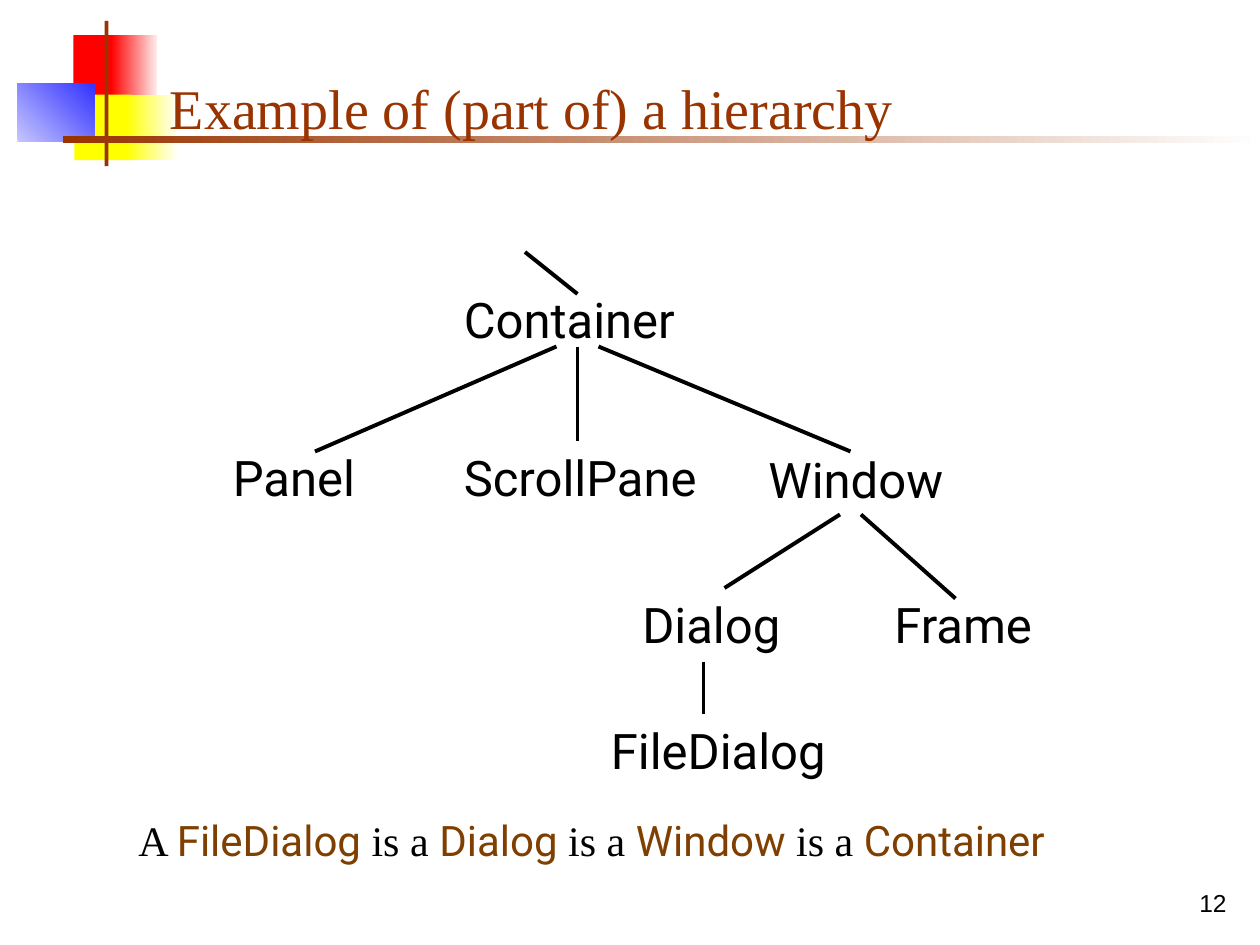
from lxml.etree import SubElement
from pptx import Presentation
from pptx.dml.color import RGBColor
from pptx.enum.shapes import MSO_CONNECTOR, MSO_SHAPE
from pptx.enum.text import MSO_ANCHOR, PP_ALIGN
from pptx.oxml.ns import qn
from pptx.util import Pt

SERIF, SANS, CODE = "Times New Roman", "Arial", "Roboto"
BLACK, RUST, BROWN = "000000", "993300", "7F3F00"


def color(hex_code):
    """Turn a hex string into a colour."""
    return RGBColor.from_string(hex_code)


def set_font(font, name, size, hex_code):
    """Set typeface, size and colour of a font."""
    font.name, font.size = name, Pt(size)
    font.color.rgb = color(hex_code)


def add_text(s, box, runs, size, anchor=MSO_ANCHOR.TOP, align=PP_ALIGN.LEFT):
    """Add one paragraph of (text, typeface, colour) runs in a box."""
    tf = s.shapes.add_textbox(*map(Pt, box)).text_frame
    tf.word_wrap, tf.vertical_anchor = True, anchor
    p = tf.paragraphs[0]
    p.alignment = align
    if len(runs) == 1:
        set_font(p.font, runs[0][1], size, runs[0][2])
    for text, name, hex_code in runs:
        r = p.add_run()
        r.text = text
        if len(runs) > 1:
            set_font(r.font, name, size, hex_code)


def add_block(s, box, *hexes, angle=0):
    """Add a borderless rectangle with a solid or two-colour gradient fill."""
    sp = s.shapes.add_shape(MSO_SHAPE.RECTANGLE, *map(Pt, box))
    sp.shadow.inherit = False
    sp.line.fill.background()
    if len(hexes) == 1:
        sp.fill.solid()
        sp.fill.fore_color.rgb = color(hexes[0])
        return
    sp.fill.gradient()
    sp.fill.gradient_angle = angle
    for stop, hex_code in zip(sp.fill.gradient_stops, hexes):
        stop.color.rgb = color(hex_code)


def add_line(s, x1, y1, x2, y2):
    """Add a black straight line."""
    ln = s.shapes.add_connector(MSO_CONNECTOR.STRAIGHT, *map(Pt, (x1, y1, x2, y2)))
    ln.line.color.rgb = color(BLACK)
    ln.line.width = Pt(2.25)
    SubElement(ln._element.spPr, qn("a:effectLst"))


def add_ornament(s, x, y):
    """Draw the coloured squares and crossing bars."""
    blocks = [
        ((32, 8, 25, 37.5), ("FF0000",), 0),
        ((53.5, 8, 26, 37.5), ("FF0000", "FFEAEA"), 0),
        ((32.5, 42, 33, 37.5), ("FFFF00",), 0),
        ((62, 42, 29, 37.5), ("FFFF00", "FFFFF8"), 0),
        ((0, 36, 44, 33), ("C6C6FF", "3333FF"), 45),
        ((49.75, 0, 2.25, 83), (RUST,), 0),
        ((26, 65.5, 684, 4), (RUST, "FFFFFF"), 0),
    ]
    for (dx, dy, w, h), hexes, angle in blocks:
        add_block(s, (x + dx, y + dy, w, h), *hexes, angle=angle)


def add_tree(s, x, y):
    """Draw the class hierarchy: names, then the branches between them."""
    names = [
        ("Container", 132, 18, 216),
        ("Panel", 0, 108, 96),
        ("ScrollPane", 132, 108, 150),
        ("Window", 306, 109.5, 120),
        ("Dialog", 234, 192, 102),
        ("Frame", 378, 192, 102),
        ("FileDialog", 216, 264, 150),
    ]
    branches = [
        (192, 54, 54, 114),
        (204, 54, 204, 108),
        (216, 54, 360, 114),
        (354, 150, 288, 192),
        (366, 150, 420, 198),
        (276, 234, 276, 264),
        (204, 24, 174, 0),
    ]
    for name, dx, dy, w in names:
        add_text(s, (x + dx, y + dy, w, 41), [(name, CODE, BLACK)], 28)
    for x1, y1, x2, y2 in branches:
        add_line(s, x + x1, y + y1, x + x2, y + y2)


def add_summary(s, box, chain):
    """Write the "is a" sentence for a chain of class names."""
    runs = []
    for i, name in enumerate(chain):
        runs += [(" is a " if i else "A ", SERIF, BLACK), (name, CODE, BROWN)]
    add_text(s, box, runs, 24)


prs = Presentation()
prs.slide_width, prs.slide_height = Pt(720), Pt(540)
s = prs.slides.add_slide(prs.slide_layouts[6])
add_ornament(s, 10, 12)
add_text(s, (558, 492, 150, 36), [("12", SANS, BLACK)], 14,
         MSO_ANCHOR.BOTTOM, PP_ALIGN.RIGHT)
add_text(s, (90, 18, 613.5, 66),
         [("Example of (part of) a hierarchy", SERIF, RUST)], 32, MSO_ANCHOR.BOTTOM)
add_summary(s, (72, 462, 606, 36), ["FileDialog", "Dialog", "Window", "Container"])
add_tree(s, 126, 144)
prs.save("out.pptx")
